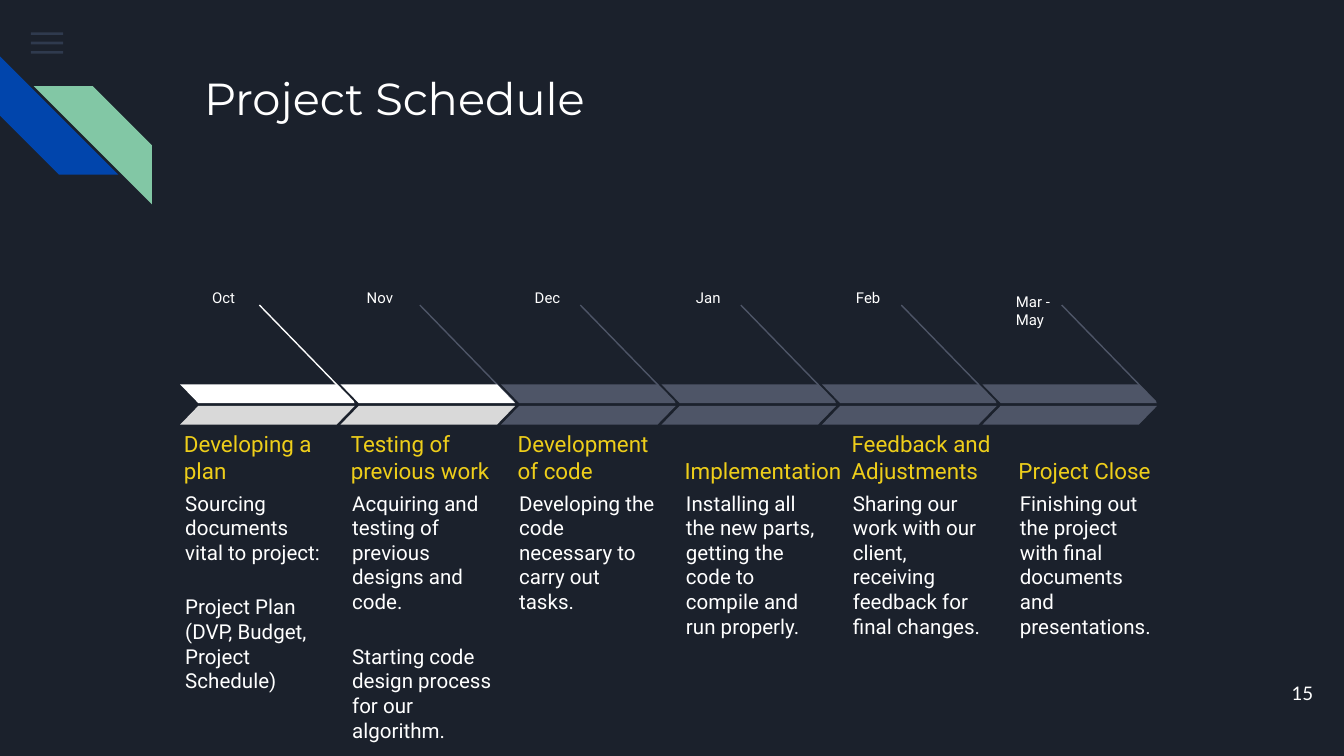
from lxml import etree
from pptx import Presentation
from pptx.dml.color import RGBColor
from pptx.enum.shapes import MSO_CONNECTOR, MSO_SHAPE
from pptx.enum.text import MSO_ANCHOR, PP_ALIGN
from pptx.oxml.ns import qn
from pptx.util import Inches, Pt

RECTANGLE = MSO_SHAPE.RECTANGLE
STRIPE = MSO_SHAPE.DIAGONAL_STRIPE
PARALLELOGRAM = MSO_SHAPE.PARALLELOGRAM
STRAIGHT = MSO_CONNECTOR.STRAIGHT
TOP, MIDDLE, BOTTOM = MSO_ANCHOR.TOP, MSO_ANCHOR.MIDDLE, MSO_ANCHOR.BOTTOM
LEFT, RIGHT = PP_ALIGN.LEFT, PP_ALIGN.RIGHT

NAVY, WHITE, SILVER, SLATE, YELLOW = "1B212C", "FFFFFF", "D9D9D9", "4E5567", "EECE1A"
BLUE, GREEN, MENU_GREY = "0145AC", "82C7A5", "55688B"

TITLE = "Project Schedule"
PAGE_NUMBER = "15"
PHASES = [
    {"month": "Oct", "month_left": 1.48, "heading": "Developing a plan",
     "heading_width": 1.28, "details_width": 1.28,
     "details": ["Sourcing documents vital to project:",
                 "Project Plan (DVP, Budget, Project Schedule)"],
     "colors": (WHITE, SILVER), "pointer": WHITE},
    {"month": "Nov", "month_left": 2.63, "heading": "Testing of previous work",
     "details": ["Acquiring and testing of previous designs and code.",
                 "Starting code design process for our algorithm."],
     "details_height": 1.24, "colors": (WHITE, SILVER)},
    {"month": "Dec", "month_left": 3.88, "heading": "Development of code",
     "details": ["Developing the code necessary to carry out tasks."]},
    {"month": "Jan", "month_left": 5.08, "heading": "Implementation",
     "heading_width": 1.43,
     "details": ["Installing all the new parts, getting the code to compile "
                 "and run properly."]},
    {"month": "Feb", "month_left": 6.27, "heading": "Feedback and Adjustments",
     "details": ["Sharing our work with our client, receiving feedback for "
                 "final changes."]},
    {"month": "Mar - May", "month_left": 7.46, "heading": "Project Close",
     "details": ["Finishing out the project with final documents and "
                 "presentations."]},
]

STEPS = len(PHASES) - 1
COLUMN_LEFT, LAST_COLUMN_LEFT, COLUMN_WIDTH = 1.27, 7.48, 1.24
COLUMN_PITCH = (LAST_COLUMN_LEFT - COLUMN_LEFT) / STEPS
ARROW_LEFT, LAST_ARROW_LEFT = 1.34, 7.31
ARROW_PITCH = (LAST_ARROW_LEFT - ARROW_LEFT) / STEPS


def rgb(color):
    return RGBColor.from_string(color)


def add_text(slide, paragraphs, left, top, width, height, size, font="Roboto",
             color=WHITE, anchor=TOP, align=LEFT, gap=0):
    frame = slide.shapes.add_textbox(
        Inches(left), Inches(top), Inches(width), Inches(height)).text_frame
    frame.word_wrap = True
    frame.vertical_anchor = anchor
    frame.margin_left = frame.margin_right = Inches(0.1)
    frame.margin_top = frame.margin_bottom = Inches(0.1)
    for index, text in enumerate(paragraphs):
        paragraph = frame.add_paragraph() if index else frame.paragraphs[0]
        paragraph.alignment = align
        if index:
            paragraph.space_before = Pt(gap)
        run = paragraph.add_run()
        run.text = text
        run.font.size = Pt(size)
        run.font.name = font
        run.font.color.rgb = rgb(color)


def add_block(slide, kind, left, top, width, height, color,
              adjust=None, flip=False, rotation=0, opacity=None):
    block = slide.shapes.add_shape(
        kind, Inches(left), Inches(top), Inches(width), Inches(height))
    block.shadow.inherit = False
    block.fill.solid()
    block.fill.fore_color.rgb = rgb(color)
    block.line.fill.background()
    block.rotation = rotation
    if adjust is not None:
        block.adjustments[0] = adjust
    if flip:
        block._element.spPr.find(qn("a:xfrm")).set("flipH", "1")
    if opacity is not None:
        tint = block._element.spPr.find(qn("a:solidFill")).find(qn("a:srgbClr"))
        etree.SubElement(tint, qn("a:alpha")).set("val", str(opacity * 1000))


def add_pointer(slide, left, color):
    pointer = slide.shapes.add_connector(
        STRAIGHT, Inches(left), Inches(2.27), Inches(left + 0.7), Inches(2.99))
    pointer.line.color.rgb = rgb(color)
    pointer.line.width = Pt(0.75)
    etree.SubElement(pointer._element.spPr, qn("a:effectLst"))


def add_phase(slide, index, phase):
    column = COLUMN_LEFT + index * COLUMN_PITCH
    arrow = ARROW_LEFT + index * ARROW_PITCH
    upper, lower = phase.get("colors", (SLATE, SLATE))

    add_text(slide, [phase["month"]], phase["month_left"], 2.08, 0.59, 0.33, size=8)
    add_text(slide, [phase["heading"]], column, 3.26,
             phase.get("heading_width", COLUMN_WIDTH), 0.44,
             size=12, color=YELLOW, anchor=BOTTOM)
    add_text(slide, phase["details"], column + 0.01, 3.55,
             phase.get("details_width", COLUMN_WIDTH),
             phase.get("details_height", 0.73), size=11, gap=16)

    add_pointer(slide, arrow + 0.59, phase.get("pointer", SLATE))
    add_block(slide, PARALLELOGRAM, arrow, 2.86, 1.3, 0.14, upper, adjust=0.97, flip=True)
    add_block(slide, PARALLELOGRAM, arrow, 3.02, 1.3, 0.14, lower, adjust=0.97)


def main():
    presentation = Presentation()
    presentation.slide_width = Inches(10)
    presentation.slide_height = Inches(10 * 9 / 16)
    slide = presentation.slides.add_slide(presentation.slide_layouts[6])
    slide.background.fill.solid()
    slide.background.fill.fore_color.rgb = rgb(NAVY)

    for bar in range(3):
        add_block(slide, RECTANGLE, 0.23, 0.24 + bar * 0.07, 0.24, 0.02,
                  MENU_GREY, opacity=36)
    add_block(slide, STRIPE, 0, 0.42, 0.88, 0.88, BLUE, adjust=0.5, rotation=270)
    add_block(slide, STRIPE, 0.25, 0.64, 0.88, 0.88, GREEN, adjust=0.5, flip=True)

    add_text(slide, [TITLE], 1.42, 0.43, 7.7, 1, size=24, font="Montserrat")
    for index, phase in enumerate(PHASES):
        add_phase(slide, index, phase)
    add_text(slide, [PAGE_NUMBER], 9.27, 4.94, 0.6, 0.43, size=10, font="Lato",
             anchor=MIDDLE, align=RIGHT)

    presentation.save("out.pptx")


if __name__ == "__main__":
    main()
